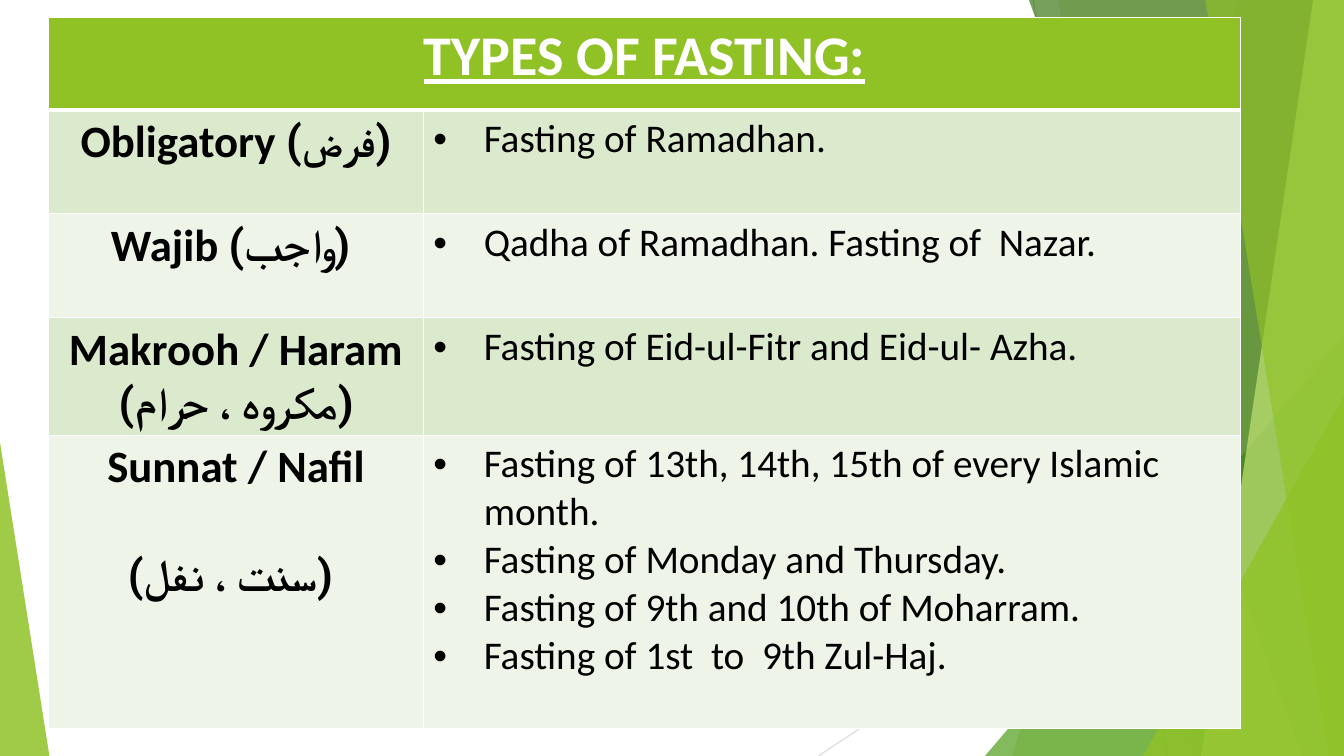
from dataclasses import dataclass

import pptx
import pptx.dml.color
import pptx.enum.shapes
import pptx.enum.text
import pptx.oxml
import pptx.oxml.ns
import pptx.util
from lxml import etree

Pt = pptx.util.Pt
RGB = pptx.dml.color.RGBColor
qn = pptx.oxml.ns.qn

WHITE = RGB(0xFF, 0xFF, 0xFF)
BLACK = RGB(0, 0, 0)
LIME = RGB(0x90, 0xC2, 0x26)
PALE_LIME = RGB(0xC0, 0xE4, 0x74)
GREEN = RGB(0x54, 0xA0, 0x21)
DARK_GREEN = RGB(0x3F, 0x78, 0x19)
BANDS = (RGB(0xDB, 0xE9, 0xCD), RGB(0xEE, 0xF4, 0xE8))
GREY = RGB(0xBF, 0xBF, 0xBF)
PALE_GREY = RGB(0xD9, 0xD9, 0xD9)

WIDTH, HEIGHT = 960, 540
LATIN_FONT, ARABIC_FONT = "Calibri", "Roboto"


@dataclass
class Ray:
    start: tuple[float, float]
    end: tuple[float, float]
    color: RGB


@dataclass
class Blade:
    """A panel from the right edge to a slanted left edge."""
    top_x: int
    bottom_x: int
    color: RGB
    opacity: int


@dataclass
class Corner:
    """A right triangle standing on the bottom edge."""
    left: float
    top: float
    width: float
    apex: int
    color: RGB
    opacity: int


@dataclass
class Fast:
    english: str
    arabic: str
    examples: tuple[str, ...]
    height: float
    own_line: bool = False
    gap: float = 0


BACKDROP = (
    Ray((738, 0), (834, HEIGHT), GREY),
    Ray((WIDTH, 290), (584.6, HEIGHT), PALE_GREY),
    Blade(884, 723, LIME, 30),
    Blade(756, 852, LIME, 20),
    Corner(703.5, 240, 256.5, 1, GREEN, 72),
    Blade(735, 930, DARK_GREEN, 70),
    Blade(938, 858, PALE_LIME, 70),
    Blade(861, 949, LIME, 65),
    Corner(816.5, 283, 143.5, 1, LIME, 80),
    Corner(0, 316, 35.3, 0, LIME, 85),
)

TABLE_LEFT, TABLE_TOP = 34.8, 12.4
COLUMNS = (267.6, 583.7)
HEADER_HEIGHT = 66.2
FASTS = (
    Fast("Obligatory ", "(فرض)", ("Fasting of Ramadhan.",), 74.2),
    Fast("Wajib ", "(واجب) ", ("Qadha of Ramadhan. Fasting of  Nazar.",), 74.2),
    Fast("Makrooh / Haram", "(مکروہ ، حرام)",
         ("Fasting of Eid-ul-Fitr and Eid-ul- Azha.",), 79.9, own_line=True),
    Fast("Sunnat / Nafil", "(سنت ، نفل) ",
         ("Fasting of 13th, 14th, 15th of every Islamic month.",
          "Fasting of Monday and Thursday.",
          "Fasting of 9th and 10th of Moharram.",
          "Fasting of 1st  to  9th Zul-Haj."), 209.5, own_line=True, gap=39),
)


def paint(shape, color: RGB, opacity: int) -> None:
    shape.shadow.inherit = False
    shape.line.fill.background()
    shape.fill.solid()
    shape.fill.fore_color.rgb = color
    tint = shape.fill._xPr.find(".//" + qn("a:srgbClr"))
    etree.SubElement(tint, qn("a:alpha"), val=str(opacity * 1000))


def draw_ray(page, ray: Ray) -> None:
    line = page.shapes.add_connector(
        pptx.enum.shapes.MSO_CONNECTOR.STRAIGHT,
        *(Pt(value) for value in ray.start + ray.end))
    line.line.color.rgb = ray.color
    line.line.width = Pt(0.75)
    etree.SubElement(line._element.spPr, qn("a:effectLst"))


def draw_blade(page, blade: Blade) -> None:
    builder = page.shapes.build_freeform(blade.top_x, 0, scale=Pt(1))
    builder.add_line_segments(
        [(WIDTH, 0), (WIDTH, HEIGHT), (blade.bottom_x, HEIGHT)])
    paint(builder.convert_to_shape(), blade.color, blade.opacity)


def draw_corner(page, corner: Corner) -> None:
    shape = page.shapes.add_shape(
        pptx.enum.shapes.MSO_SHAPE.ISOSCELES_TRIANGLE, Pt(corner.left),
        Pt(corner.top), Pt(corner.width), Pt(HEIGHT - corner.top))
    shape.adjustments[0] = corner.apex
    paint(shape, corner.color, corner.opacity)


def set_font(font, size: float, color: RGB, bold: bool) -> None:
    font.name, font.size, font.bold = LATIN_FONT, Pt(size), bold
    font.color.rgb = color


def format_cell(cell, color: RGB, top: int = 1, bottom: int = 1) -> None:
    """Fill a cell and give it white borders."""
    cell.fill.solid()
    cell.fill.fore_color.rgb = color
    properties = cell._tc.get_or_add_tcPr()
    widths = {"lnL": 1, "lnR": 1, "lnT": top, "lnB": bottom}
    for position, (side, width) in enumerate(widths.items()):
        border = etree.Element(qn("a:" + side), w=str(Pt(width)))
        fill = etree.SubElement(border, qn("a:solidFill"))
        etree.SubElement(fill, qn("a:srgbClr"), val=str(WHITE))
        properties.insert(position, border)


def add_bullet(para) -> None:
    properties = para._p.get_or_add_pPr()
    properties.set("marL", str(Pt(36)))
    properties.set("indent", str(-Pt(36)))
    etree.SubElement(properties, qn("a:buFont"), typeface="Arial")
    etree.SubElement(properties, qn("a:buChar"), char="•")


def write_name(frame, fast: Fast) -> None:
    english = frame.paragraphs[0]
    english.add_run().text = fast.english
    arabic = frame.add_paragraph() if fast.own_line else english
    if fast.gap:
        arabic.space_before = Pt(fast.gap)
    span = arabic.add_run()
    span.text = fast.arabic
    for para in frame.paragraphs:
        para.alignment = pptx.enum.text.PP_ALIGN.CENTER
        for run in para.runs:
            set_font(run.font, 32, BLACK, True)
    span.font.name = ARABIC_FONT
    etree.SubElement(span._r.get_or_add_rPr(), qn("a:cs"), typeface=ARABIC_FONT)


def write_examples(frame, examples: tuple[str, ...]) -> None:
    frame.text = "\n".join(examples)
    for para in frame.paragraphs:
        set_font(para.font, 28, BLACK, False)
        add_bullet(para)


def draw_table(page) -> None:
    heights = [HEADER_HEIGHT] + [fast.height for fast in FASTS]
    table = page.shapes.add_table(
        len(heights), len(COLUMNS), Pt(TABLE_LEFT), Pt(TABLE_TOP),
        Pt(sum(COLUMNS)), Pt(sum(heights))).table
    for column, width in zip(table.columns, COLUMNS):
        column.width = Pt(width)
    for row, height in zip(table.rows, heights):
        row.height = Pt(height)

    header = table.cell(0, 0)
    header.merge(table.cell(0, 1))
    for cell in table.rows[0].cells:
        format_cell(cell, LIME, bottom=3)
    header.text = "TYPES OF FASTING:"
    title = header.text_frame.paragraphs[0]
    title.alignment = pptx.enum.text.PP_ALIGN.CENTER
    set_font(title.font, 40, WHITE, True)
    title.font.underline = True

    for number, fast in enumerate(FASTS, 1):
        name, examples = table.rows[number].cells
        for cell in (name, examples):
            format_cell(cell, BANDS[(number - 1) % 2], top=3 if number == 1 else 1)
        write_name(name.text_frame, fast)
        write_examples(examples.text_frame, fast.examples)


def main() -> None:
    deck = pptx.Presentation()
    deck.slide_width, deck.slide_height = Pt(WIDTH), Pt(HEIGHT)
    page = deck.slides.add_slide(deck.slide_layouts.get_by_name("Blank"))
    painters = {Ray: draw_ray, Blade: draw_blade, Corner: draw_corner}
    for part in BACKDROP:
        painters[type(part)](page, part)
    draw_table(page)
    deck.save("out.pptx")


if __name__ == "__main__":
    main()
